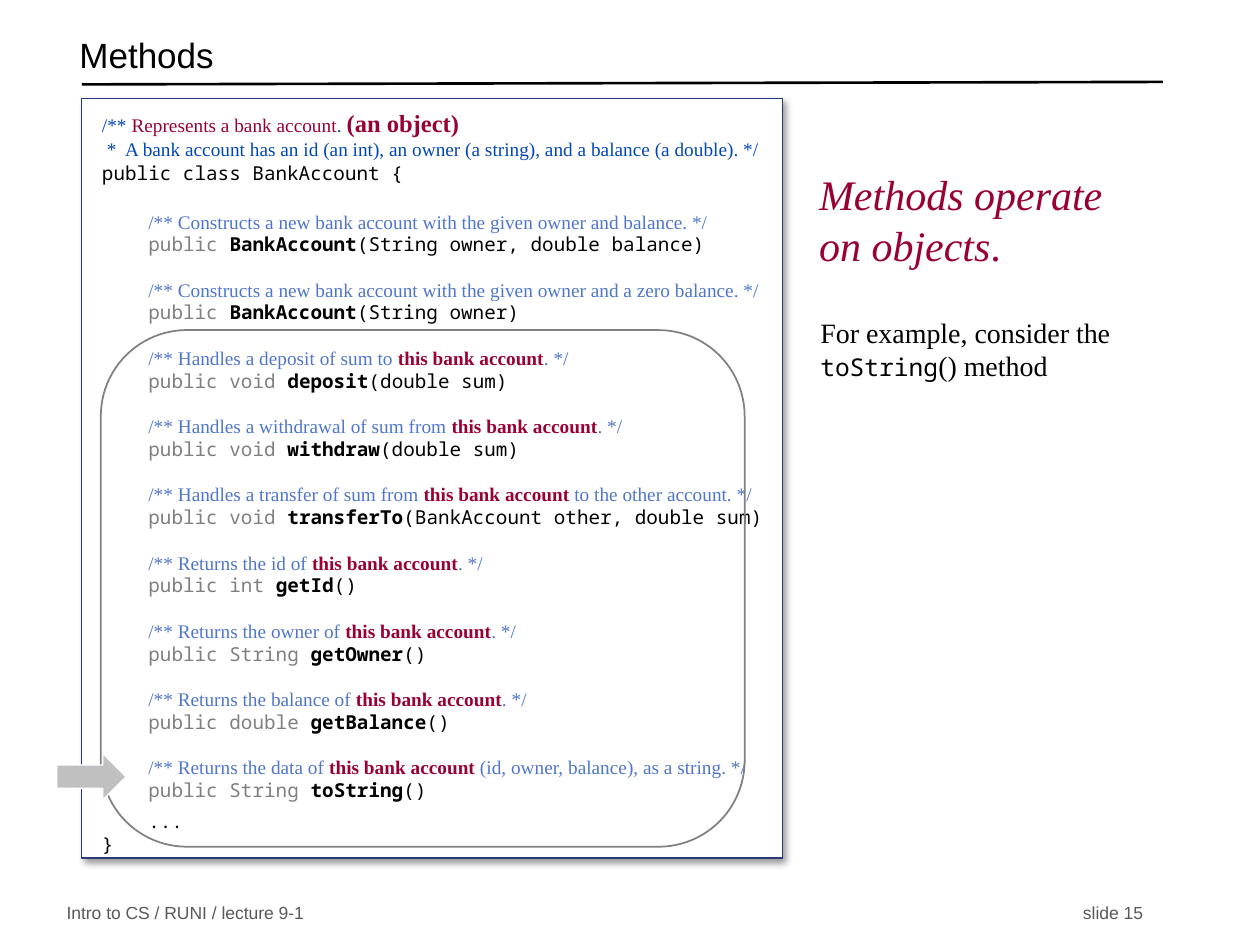
from dataclasses import dataclass
from typing import NamedTuple

from lxml.etree import SubElement
from pptx import Presentation
from pptx.dml.color import RGBColor
from pptx.enum.shapes import MSO_CONNECTOR as Connector, MSO_SHAPE as Preset
from pptx.enum.text import MSO_ANCHOR as Anchor, PP_ALIGN as Align
from pptx.oxml.ns import qn
from pptx.util import Inches, Pt


@dataclass(frozen=True)
class Theme:
    sans: str = "Arial"
    serif: str = "Times New Roman"
    mono: str = "Noto Sans Mono"
    black: str = "000000"
    white: str = "FFFFFF"
    frame: str = "293973"
    header: str = "0048B7"
    comment: str = "4F76CB"
    accent: str = "990033"
    keyword: str = "808080"
    arrow: str = "C0C0C0"
    footer: str = "595959"
    title_size: int = 20
    claim_size: int = 24
    example_size: int = 16
    emphasis_size: int = 14
    code_size: int = 11
    footer_size: int = 10


class Box(NamedTuple):
    column: float
    row: float
    columns: float
    rows: float


class Span(NamedTuple):
    text: str
    color: str
    font: str
    size: int
    bold: bool = False
    italic: bool = False


class Member(NamedTuple):
    comment: str
    subject: str
    ending: str
    modifier: str
    name: str
    parameters: str


theme = Theme()
deck = Presentation()
deck.slide_width, deck.slide_height = Inches(10), Inches(7.5)
COLUMN, ROW = deck.slide_width / 100, deck.slide_height / 100
THIS = "this bank account"
INDENT = "    "
MEMBERS = [
    Member("Constructs a new bank account with the given owner and balance", "", ". */",
           "public ", "BankAccount", "(String owner, double balance)"),
    Member("Constructs a new bank account with the given owner and a zero balance", "", ". */",
           "public ", "BankAccount", "(String owner)"),
    Member("Handles a deposit of sum to ", THIS, ". */", "public void ", "deposit", "(double sum)"),
    Member("Handles a withdrawal of sum from ", THIS, ". */",
           "public void ", "withdraw", "(double sum)"),
    Member("Handles a transfer of sum from ", THIS, " to the other account. */",
           "public void ", "transferTo", "(BankAccount other, double sum)"),
    Member("Returns the id of ", THIS, ". */", "public int ", "getId", "()"),
    Member("Returns the owner of ", THIS, ". */", "public String ", "getOwner", "()"),
    Member("Returns the balance of ", THIS, ". */", "public double ", "getBalance", "()"),
    Member("Returns the data of ", THIS, " (id, owner, balance), as a string. */",
           "public String ", "toString", "()"),
]


def place(shape, box: Box) -> None:
    shape.left, shape.width = round(box.column * COLUMN), round(box.columns * COLUMN)
    shape.top, shape.height = round(box.row * ROW), round(box.rows * ROW)


def add_preset(page, preset: Preset, box: Box, fill: str = "", line: str = "", weight: float = 0.75):
    shape = page.shapes.add_shape(preset, 0, 0, 0, 0)
    place(shape, box)
    shape.shadow.inherit = False
    if fill:
        shape.fill.solid()
        shape.fill.fore_color.rgb = RGBColor.from_string(fill)
    else:
        shape.fill.background()
    if line:
        shape.line.color.rgb = RGBColor.from_string(line)
        shape.line.width = Pt(weight)
    else:
        shape.line.fill.background()
    return shape


def set_frame(shape, insets: tuple = (0.1, 0.05, 0.1, 0.05), anchor: Anchor = Anchor.TOP):
    frame = shape.text_frame
    frame.word_wrap = True
    frame.vertical_anchor = anchor
    frame.margin_left, frame.margin_top, frame.margin_right, frame.margin_bottom = map(Inches, insets)
    return frame


def write(para, spans: list[Span], align: Align = Align.LEFT) -> None:
    para.alignment = align
    for span in spans:
        run = para.add_run()
        run.text = span.text
        run.font.name = span.font
        run.font.size = Pt(span.size)
        run.font.bold = span.bold
        run.font.italic = span.italic
        run.font.color.rgb = RGBColor.from_string(span.color)


def code(text: str, color: str = theme.black, bold: bool = False) -> Span:
    return Span(text, color, theme.mono, theme.code_size, bold)


def prose(text: str, color: str = theme.comment, bold: bool = False) -> Span:
    return Span(text, color, theme.serif, theme.code_size, bold)


def add_code_line(frame, spans: list[Span], before: float) -> None:
    para = frame.add_paragraph()
    para.line_spacing = Pt(12)
    para.space_before = Pt(before)
    write(para, spans)


def add_shadow(shape) -> None:
    effects = shape._element.spPr.find(qn("a:effectLst"))
    shadow = SubElement(effects, qn("a:outerShdw"), blurRad=str(Pt(4)), dist=str(Pt(3)),
                        dir="2700000", algn="tl", rotWithShape="0")
    color = SubElement(shadow, qn("a:srgbClr"), val=theme.black)
    SubElement(color, qn("a:alpha"), val="40000")


def add_listing(page) -> None:
    panel = add_preset(page, Preset.RECTANGLE, Box(6.5, 10.4, 55.6, 80.4), theme.white, theme.frame)
    add_shadow(panel)
    frame = set_frame(panel, (0.16, 0.08, 0, 0))
    write(frame.paragraphs[0], [
        prose("/** ", theme.header),
        prose("Represents a bank account", theme.accent),
        prose(". ", theme.header),
        Span("(an object)", theme.accent, theme.serif, theme.emphasis_size, True),
    ])
    write(frame.add_paragraph(), [prose(
        " *  A bank account has an id (an int), an owner (a string), and a balance (a double). */",
        theme.header)])
    write(frame.add_paragraph(), [code("public class BankAccount {")])
    for index, member in enumerate(MEMBERS):
        comment = [code(INDENT), prose("/** " + member.comment)]
        if member.subject:
            comment.append(prose(member.subject, theme.accent, True))
        comment.append(prose(member.ending))
        add_code_line(frame, comment, 14 if index else 16)
        add_code_line(frame, [code(INDENT), code(member.modifier, theme.keyword),
                              code(member.name, bold=True), code(member.parameters)], 1)
    add_code_line(frame, [code(INDENT + "...")], 6)
    add_code_line(frame, [code("}")], 1)


def add_rule(page) -> None:
    rule = page.shapes.add_connector(Connector.STRAIGHT, round(6.5 * COLUMN), round(8.93 * ROW),
                                     round(92.3 * COLUMN), round(8.67 * ROW))
    rule.line.color.rgb = RGBColor.from_string(theme.black)
    rule.line.width = Pt(1.5)
    SubElement(rule._element.spPr, qn("a:effectLst"))


def add_footer(page, text: str, column: float, align: Align) -> None:
    box = page.shapes.add_textbox(0, 0, 0, 0)
    place(box, Box(column, 95.2, 43.7, 2.8))
    frame = set_frame(box, anchor=Anchor.MIDDLE)
    write(frame.paragraphs[0], [Span(text, theme.footer, theme.sans, theme.footer_size)], align)


def fill_placeholders(page) -> None:
    title, claim = page.placeholders
    place(title, Box(5.3, 2.93, 86, 6.67))
    para = set_frame(title, anchor=Anchor.MIDDLE).paragraphs[0]
    para.line_spacing = 0.7
    write(para, [Span("Methods", theme.black, theme.sans, theme.title_size)])
    place(claim, Box(62.9, 17.2, 28.4, 11.6))
    para = set_frame(claim).paragraphs[0]
    properties = para._p.get_or_add_pPr()
    properties.set("marL", str(Inches(0.11)))
    properties.set("indent", "0")
    SubElement(properties, qn("a:buNone"))
    para.space_before = Pt(0)
    write(para, [
        Span("Methods operate on objects", theme.accent, theme.serif, theme.claim_size, italic=True),
        Span(".", theme.accent, theme.serif, theme.claim_size),
    ])


def add_example(page) -> None:
    callout = add_preset(page, Preset.ROUNDED_RECTANGULAR_CALLOUT, Box(63.7, 32.8, 35.5, 11.6))
    callout.adjustments[0], callout.adjustments[1] = -0.24, 0.49
    write(set_frame(callout, (0.1, 0, 0, 0.05)).paragraphs[0], [
        Span("For example, consider the ", theme.black, theme.serif, theme.example_size),
        Span("toString", theme.black, theme.mono, theme.emphasis_size),
        Span("() method", theme.black, theme.serif, theme.example_size),
    ])
    add_preset(page, Preset.RIGHT_ARROW, Box(4.5, 79.73, 5.5, 4.93), theme.arrow, theme.white)


def main() -> None:
    page = deck.slides.add_slide(deck.slide_layouts[1])
    add_rule(page)
    add_footer(page, "Intro to CS / RUNI / lecture 9-1", 4.3, Align.LEFT)
    add_footer(page, "slide 15", 48, Align.RIGHT)
    add_listing(page)
    fill_placeholders(page)
    add_preset(page, Preset.ROUNDED_RECTANGLE, Box(8, 34.93, 51.1, 54.67), line=theme.keyword, weight=1)
    add_example(page)
    deck.save("out.pptx")


if __name__ == "__main__":
    main()
